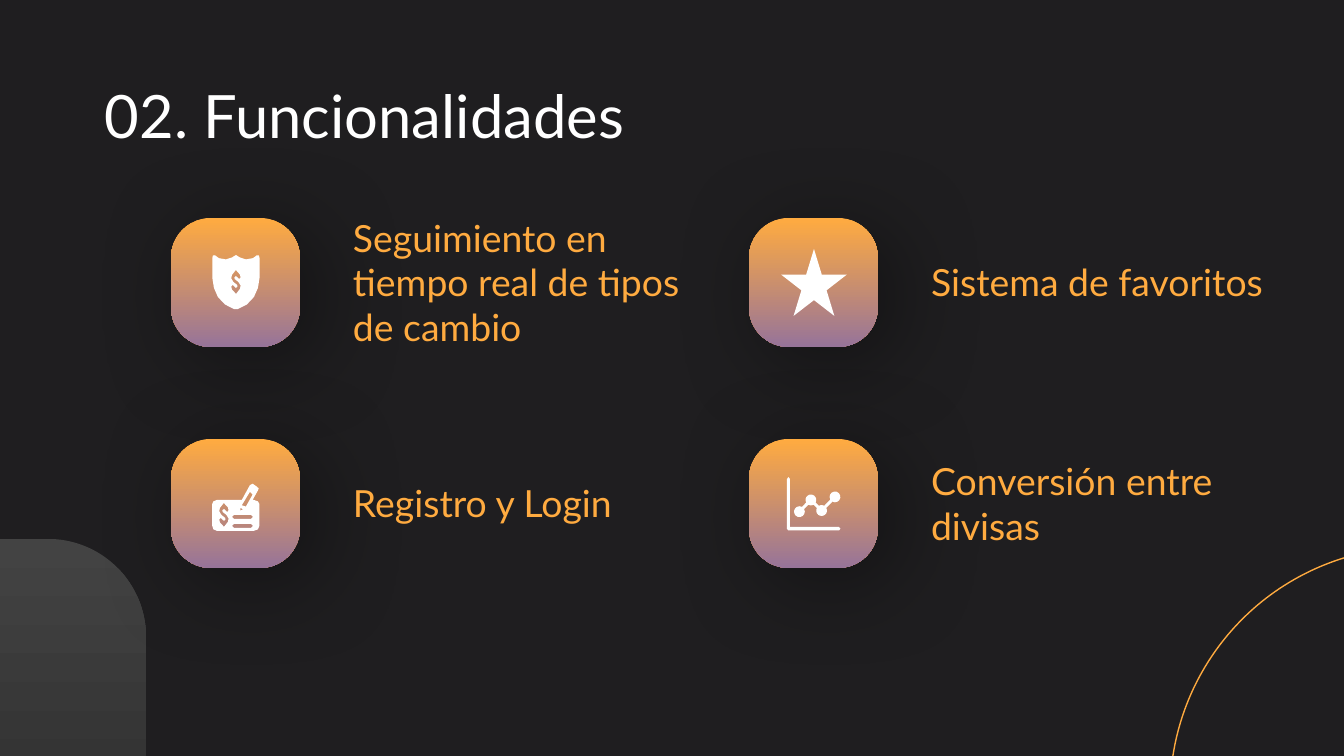
import math

import pptx
import pptx.dml.color
import pptx.enum.shapes
import pptx.enum.text
import pptx.oxml
import pptx.oxml.ns
import pptx.util

PX = 914400 / 134.4
FINE = 10  # outline points are kept to a tenth of a px
SHAPE = pptx.enum.shapes.MSO_SHAPE
ANCHOR = pptx.enum.text.MSO_ANCHOR
COLORS = {
    "back": "1F1E20", "text": "FFFFFF", "gold": "FFAB40", "plum": "977499",
    "light": "434343", "dark": "232323", "black": "000000",
}


def emu(px):
    return pptx.util.Emu(round(px * PX))


def rgb(name):
    return pptx.dml.color.RGBColor.from_string(COLORS[name])


def write(shape, text, size=20, color="gold", font="Lato", anchor=ANCHOR.MIDDLE):
    frame = shape.text_frame
    frame.word_wrap = True
    frame.auto_size = pptx.enum.text.MSO_AUTO_SIZE.NONE
    frame.vertical_anchor = anchor
    frame.margin_left = frame.margin_right = 0
    frame.margin_top = frame.margin_bottom = 0
    para = frame.paragraphs[0]
    para.alignment = pptx.enum.text.PP_ALIGN.LEFT
    run = para.add_run()
    run.text = text
    run.font.size = pptx.util.Pt(size)
    run.font.name = font
    run.font.color.rgb = rgb(color)


class Deck:
    def __init__(self, wide, high):
        self.show = pptx.Presentation()
        self.show.slide_width, self.show.slide_height = emu(wide), emu(high)
        self.slide = self.show.slides.add_slide(self.show.slide_layouts[5])
        self.shapes = self.slide.shapes
        fill = self.slide.background.fill
        fill.solid()
        fill.fore_color.rgb = rgb("back")

    def title(self, text, x, y, w, h):
        box = self.shapes.title
        box.left, box.top, box.width, box.height = map(emu, (x, y, w, h))
        write(box, text, size=32, color="text", anchor=ANCHOR.TOP)

    def label(self, text, x, y, w, h):
        write(self.shapes.add_textbox(*map(emu, (x, y, w, h))), text)

    def preset(self, kind, x, y, w, h, fill=None, line=None):
        shape = self.shapes.add_shape(kind, *map(emu, (x, y, w, h)))
        self.paint(shape, fill, line)
        return shape

    def paint(self, shape, fill, line=None):
        shape.shadow.inherit = False
        if fill:
            shape.fill.solid()
            shape.fill.fore_color.rgb = rgb(fill)
        else:
            shape.fill.background()
        if line:
            shape.line.color.rgb = rgb(line)
            shape.line.width = pptx.util.Pt(0.75)
        else:
            shape.line.fill.background()

    def tile(self, x, y, w, h, top, low, round_by, shade, angle):
        shape = self.preset(SHAPE.ROUNDED_RECTANGLE, x, y, w, h)
        shape.adjustments[0] = round_by
        shape.fill.gradient()
        shape.fill.gradient_angle = 270
        for stop, name, place in zip(shape.fill.gradient_stops, (top, low), (0, 1)):
            stop.color.rgb = rgb(name)
            stop.position = place
        effects = shape._element.spPr.find(pptx.oxml.ns.qn("a:effectLst"))
        effects.append(pptx.oxml.parse_xml(
            f'<a:outerShdw {pptx.oxml.ns.nsdecls("a")} blurRad="{pptx.util.Pt(50)}" '
            f'dist="{pptx.util.Pt(11.2)}" dir="{round(angle * 60000)}" '
            f'algn="tl" rotWithShape="0"><a:srgbClr val="{COLORS[shade]}">'
            '<a:alpha val="40000"/></a:srgbClr></a:outerShdw>'))

    def outline(self, *loops):
        """Draw closed loops as one shape; inner loops are holes."""
        loops = [[(x * FINE, y * FINE) for x, y in loop] for loop in loops]
        pen = self.shapes.build_freeform(*loops[0][0], scale=PX / FINE)
        for loop in loops:
            if loop is not loops[0]:
                pen.move_to(*loop[0])
            pen.add_line_segments(loop[1:], close=True)
        self.paint(pen.convert_to_shape(), "text")


def shift(points, x, y):
    return [(x + a, y + b) for a, b in points]


def bar(x, y, w, h):
    return [(x, y + h / 2), (x + 2, y), (x + w - 2, y),
            (x + w, y + h / 2), (x + w - 2, y + h), (x + 2, y + h)]


def chain(nodes, radius=5.4, half=1.5):
    """Outline of dots joined by a thin line, walked there and back."""
    walk = nodes + nodes[-2:0:-1]
    gap = math.asin(half / radius)
    points = []
    for i, (x, y) in enumerate(walk):
        (px, py), (nx, ny) = walk[i - 1], walk[(i + 1) % len(walk)]
        start = math.atan2(py - y, px - x) + gap
        sweep = (math.atan2(ny - y, nx - x) - gap - start) % math.tau
        points += [(x + radius * math.cos(start + sweep * k / 12),
                    y + radius * math.sin(start + sweep * k / 12))
                   for k in range(13)]
    return points


# Icon outlines, around their own centres or in slide px
HALF = [(-1.6, -10), (0, -12), (1.6, -10), (4, -7.5), (4.7, -4.5), (3.2, -2.9),
        (1.6, -4.5), (0, -6), (-1.6, -4.5), (-1.2, -2.9), (2.5, 0), (4.7, 3.6),
        (4, 7)]
DOLLAR = HALF + [(-x, -y) for x, y in HALF]
SIDE = [(0, -27), (4, -24.5), (10, -22.6), (17, -23.8), (21, -26.7), (23, -26.5),
        (23.6, -24), (23.6, -4), (22, 6), (18, 15), (11, 22.5), (2, 27)]
SHIELD = SIDE + [(-x, y) for x, y in SIDE[:0:-1]]
CHEQUE = [(252.7, 483.8), (250, 485.2), (241.9, 500), (217, 500), (213.5, 501.5),
          (212.3, 504), (212.3, 526), (213.5, 529.5), (217, 530.9), (254, 530.9),
          (258, 529.5), (259.4, 526), (259.4, 504), (258, 501.5), (254, 500),
          (252.7, 500), (258, 490.6), (258.8, 488.5), (256.7, 486.5)]
SHAFT = [(250, 492), (252.7, 494.6), (246, 506.7), (241.9, 505.3)]
TIP = [(240.6, 508), (243.3, 509.4), (240.6, 510.7)]
AXES = [(787, 479), (788.5, 477), (790, 479), (790, 527), (839, 527),
        (840.5, 528.7), (839, 530.5), (788.5, 530.5), (787, 529)]
TREND = [(799.4, 511.7), (810.9, 500), (821.6, 510.6), (835, 497)]


def main():
    deck = Deck(1344, 756)

    # Corner ornaments
    deck.tile(-160, 539, 306, 458, "light", "dark", 0.32, "back", 45)
    deck.preset(SHAPE.OVAL, 1170, 547, 493, 493, line="gold")

    deck.title("02. Funcionalidades", 105, 79, 1134, 78)

    # Two by two grid of features
    names = ["Seguimiento en tiempo real de tipos de cambio", "Sistema de favoritos",
             "Registro y Login", "Conversión entre divisas"]
    for i, name in enumerate(names):
        x, y = 171 + i % 2 * 578, 218 + i // 2 * 221
        deck.tile(x, y, 129, 129, "gold", "plum", 0.31, "black", 39.4)
        deck.label(name, x + 182, y + 25, 333, 78)

    # Icons
    deck.outline(shift(SHIELD, 236, 282), shift(DOLLAR, 236, 282))
    deck.preset(SHAPE.STAR_5_POINT, 781, 249, 66, 67, fill="text")
    deck.outline(CHEQUE, SHAFT, TIP, shift(DOLLAR, 224, 515),
                 bar(232, 515, 21, 4), bar(232, 524, 21, 4))
    deck.outline(AXES)
    deck.outline(chain(TREND))

    deck.show.save("out.pptx")


if __name__ == "__main__":
    main()
